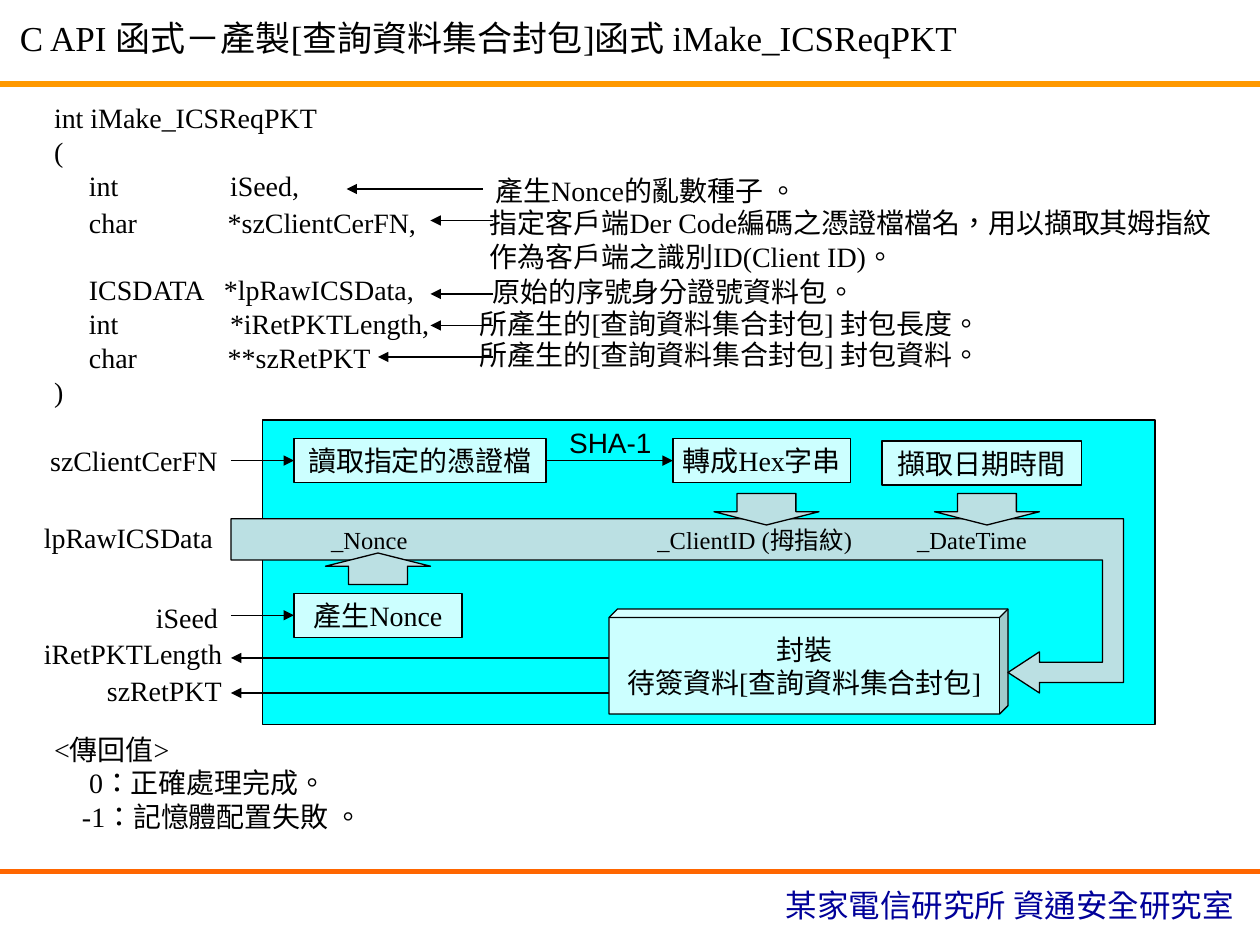
"""Build the iMake_ICSReqPKT function slide."""
from lxml import etree
from pptx import Presentation
from pptx.dml.color import RGBColor
from pptx.enum import lang, shapes as sh, text as tx
from pptx.oxml.ns import qn
from pptx.util import Pt

SERIF = "Times New Roman"
BLACK, CYAN, PALE, GREY = "000000", "00FFFF", "CCFFFF", "BBE0E3"

TITLE = "C API 函式－產製[查詢資料集合封包]函式 iMake_ICSReqPKT"
FOOTER = "某家電信研究所 資通安全研究室"
CODE = [
    "int iMake_ICSReqPKT",
    "(",
    "     int                iSeed,",
    "     char             *szClientCerFN,",
    "     ICSDATA   *lpRawICSData,",
    "     int                *iRetPKTLength,",
    "     char             **szRetPKT",
    ")",
]
RETURNS = [("<傳回值>", 0), ("0：正確處理完成。", 20), ("-1：記憶體配置失敗 。", 16)]
# text, left, top, width, height
NOTES = [
    ("產生Nonce的亂數種子 。", 276, 95.8, 438, 26.6),
    ("指定客戶端Der Code編碼之憑證檔檔名，用以擷取其姆指紋\n作為客戶端之識別ID(Client ID)。",
     272.9, 113.8, 434.9, 46),
    ("原始的序號身分證號資料包。", 274.3, 153.4, 229.7, 26.6),
    ("所產生的[查詢資料集合封包] 封包長度。", 267.1, 171.4, 323.3, 26.6),
    ("所產生的[查詢資料集合封包] 封包資料。", 267.1, 189.4, 323.3, 26.6),
]
# start, tip, height on the page
HINTS = [(276, 198, 108), (282, 246, 126), (282, 246, 168),
         (282, 246, 186), (282, 216, 204)]
PARAMS = [
    ("szClientCerFN", 21.6, 249.8, 114),
    ("lpRawICSData", 18, 293.8, 114),
    ("iSeed", 82, 339.8, 54),
    ("iRetPKTLength", 18, 360, 124),
    ("szRetPKT", 54, 381.6, 84),
]
STEPS = {
    "read": ("讀取指定的憑證檔", 168, 250.6, 144),
    "hex": ("轉成Hex字串", 384.5, 250.6, 101.5),
    "nonce": ("產生Nonce", 168, 339, 96),
    "date": ("擷取日期時間", 504, 252, 114),
}
FIELDS = [("_Nonce", 182.2, 72), ("_ClientID (拇指紋)", 368.6, 145),
          ("_DateTime", 517, 90)]
PIPE = [(132, 296.5), (642, 296.5), (642, 390), (594, 390), (594, 396),
        (576, 384.3), (594, 372.5), (594, 378.5), (630, 378.5),
        (630, 320), (132, 320)]
BLOCKS = [("DOWN_ARROW", 408, 282), ("DOWN_ARROW", 534, 282),
          ("UP_ARROW", 186, 316)]

prs = Presentation()
prs.slide_width, prs.slide_height = Pt(720), Pt(540)
slide = prs.slides.add_slide(prs.slide_layouts[6])
kit = slide.shapes


def rgb(code):
    return RGBColor.from_string(code)


def write(frame, lines, size=16, font=SERIF, color=BLACK, align=None):
    for i, line in enumerate(lines):
        para = frame.paragraphs[0] if i == 0 else frame.add_paragraph()
        para.text = line
        para.alignment = align
        para.font.size, para.font.name = Pt(size), font
        para.font.color.rgb = rgb(color)
        for run in para.runs:
            run.font.language_id = lang.MSO_LANGUAGE_ID.TRADITIONAL_CHINESE


def label(words, x, y, w, h, wrap=False, mid=False, **look):
    frame = kit.add_textbox(Pt(x), Pt(y), Pt(w), Pt(h)).text_frame
    frame.word_wrap = wrap
    frame.auto_size = tx.MSO_AUTO_SIZE.SHAPE_TO_FIT_TEXT
    frame.vertical_anchor = tx.MSO_ANCHOR.MIDDLE if mid else tx.MSO_ANCHOR.TOP
    write(frame, words.split("\n") if isinstance(words, str) else words, **look)
    return frame


def paint(item, fill):
    item.shadow.inherit = False
    item.fill.solid()
    item.fill.fore_color.rgb = rgb(fill)
    item.line.color.rgb = rgb(BLACK)
    item.line.width = Pt(0.75)


def block(kind, x, y, w, h, fill, lines=()):
    item = kit.add_shape(getattr(sh.MSO_SHAPE, kind), Pt(x), Pt(y), Pt(w), Pt(h))
    paint(item, fill)
    if lines:
        frame = item.text_frame
        frame.word_wrap = False
        frame.vertical_anchor = tx.MSO_ANCHOR.MIDDLE
        write(frame, lines, align=tx.PP_ALIGN.CENTER)
    return item


def rule(x1, x2, y, color=BLACK, width=0.75, arrow=True, start=None, end=None):
    line = kit.add_connector(sh.MSO_CONNECTOR.STRAIGHT, Pt(x1), Pt(y), Pt(x2), Pt(y))
    if start is not None:
        line.begin_connect(start, 3)
    if end is not None:
        line.end_connect(end, 1)
    line.line.color.rgb = rgb(color)
    line.line.width = Pt(width)
    if arrow:
        etree.SubElement(line.line._get_or_add_ln(), qn("a:tailEnd"), type="triangle")
    etree.SubElement(line._element.spPr, qn("a:effectLst"))


label(FOOTER, 442, 502.6, 275.8, 28.8, size=18, color="000099")
rule(0, 720, 498, "FF6600", 3, arrow=False)
rule(0, 720, 48, "FF9900", 3, arrow=False)
label(TITLE, 4.3, 5.8, 714.2, 31.7, wrap=True, size=20)

back = label([line for line, _ in RETURNS], 23.8, 414.7, 660.2, 64.8, True, True)
for para, (_, inset) in zip(back.paragraphs, RETURNS):
    para._p.get_or_add_pPr().set("marL", str(Pt(inset)))

code = label(CODE, 23.8, 54, 282.2, 182.9, wrap=True)
for para in code.paragraphs:
    para.line_spacing = Pt(19.3)
code.paragraphs[3].space_before = Pt(1.7)
code.paragraphs[4].space_before = Pt(19.3)

for i, note in enumerate(NOTES):
    label(*note, wrap=i == 0, mid=i > 0)
for x1, x2, y in HINTS:
    rule(x1, x2, y)

block("RECTANGLE", 150, 240, 510, 174, CYAN)
step = {key: block("RECTANGLE", x, y, w, 25.2, PALE, [word])
        for key, (word, x, y, w) in STEPS.items()}
cube = block("CUBE", 348, 348, 228, 60, PALE, ["封裝", "待簽資料[查詢資料集合封包]"])
cube.adjustments[0] = 0.08
label("SHA-1", 318.2, 239.8, 61.2, 26.6, font="Arial")

rule(132, 168, 263.2, end=step["read"])
rule(312, 384.5, 263.2, start=step["read"], end=step["hex"])
rule(132, 168, 351.6, end=step["nonce"])
for y in (376, 396):
    rule(348, 132, y)
for word, x, y, w in PARAMS:
    label(word, x, y, w, 26.6, wrap=True)

path = kit.build_freeform(Pt(PIPE[0][0]), Pt(PIPE[0][1]))
path.add_line_segments([(Pt(x), Pt(y)) for x, y in PIPE[1:]])
paint(path.convert_to_shape(), GREY)
for word, x, w in FIELDS:
    label(word, x, 296.5, w, 24.5, wrap=True, size=14)
for kind, x, y in BLOCKS:
    arrow = block(kind, x, y, 60, 18, GREY)
    arrow.adjustments[0], arrow.adjustments[1] = 0.56, 0.42

prs.save("out.pptx")
